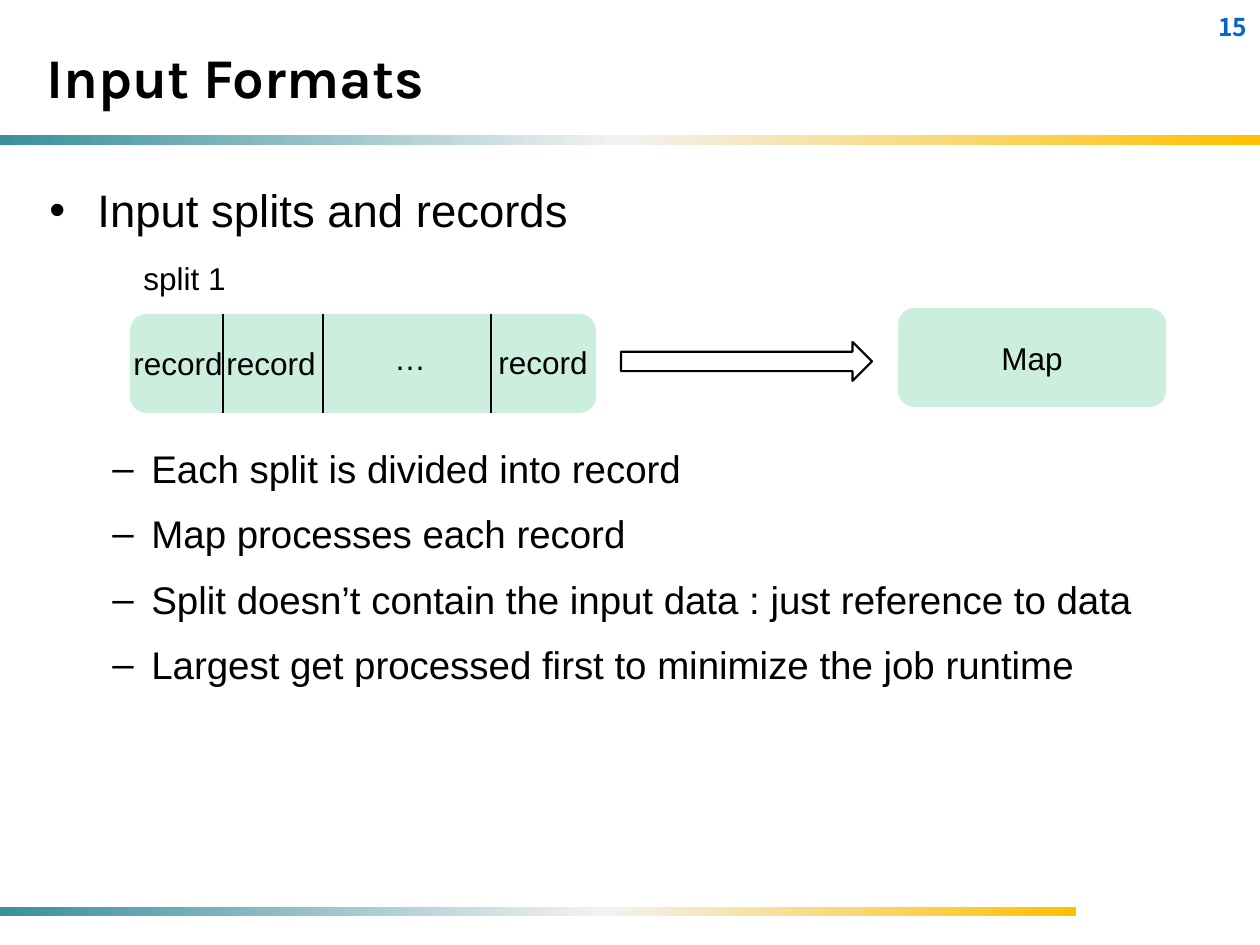
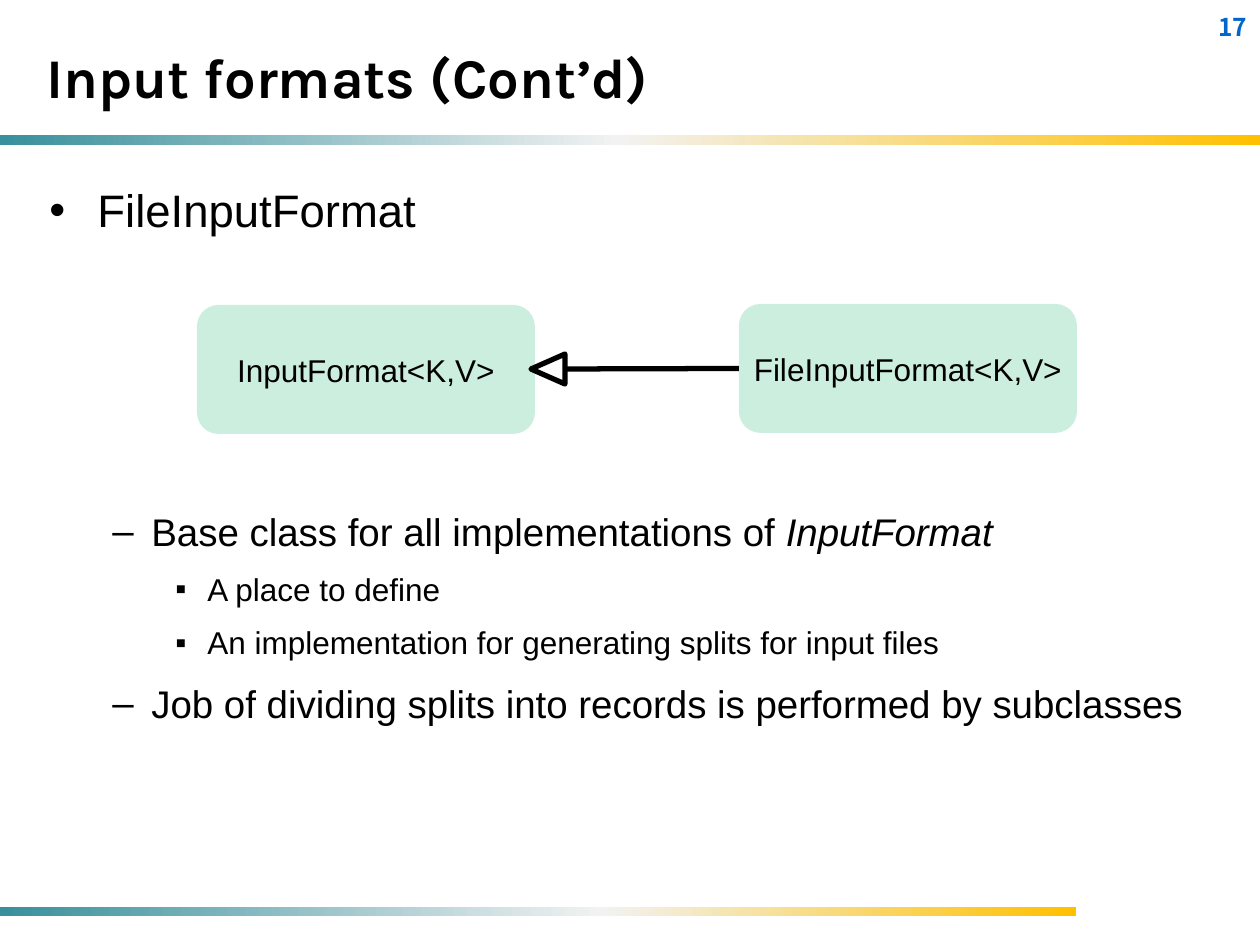
from lxml.etree import SubElement
from pptx import Presentation
from pptx.dml.color import RGBColor
from pptx.enum.shapes import MSO_CONNECTOR, MSO_SHAPE
from pptx.enum.text import MSO_ANCHOR, PP_ALIGN
from pptx.oxml import parse_xml
from pptx.oxml.ns import nsdecls, qn
from pptx.util import Pt

PIXELS_PER_INCH = 126
COLORS = {
    "text": "000000",
    "number": "0066CC",
    "box": "CCEEDF",
    "band_start": "38909C",
    "band_middle": "F2F2F2",
    "band_end": "FFC000",
}
BODY_FONT = "Arial"
TITLE_FONT = "Karla"
NUMBER_FONT = "Noto Sans CJK KR"
# bullet, left margin px, hanging px, size pt, space before pt
LEVELS = [
    ("•", 48, 48, 26, 6.8),
    ("–", 102, 39, 22, 5.7),
    ("▪", 158, 32, 18, 4.7),
]
EMPTY_LINE = 36  # height in points of one second-level line


def px(length):
    return round(length * 914400 / PIXELS_PER_INCH)


def color(name):
    return RGBColor.from_string(COLORS[name])


def add_run(paragraph, text, size=18, font=BODY_FONT, fill="text", bold=False, italic=False):
    run = paragraph.add_run()
    run.text = text
    run.font.size = Pt(size)
    run.font.name = font
    run.font.bold = bold
    run.font.italic = italic
    run.font.color.rgb = color(fill)


def add_label(slide, text, left, top, width, height, anchor=MSO_ANCHOR.TOP, **text_format):
    frame = slide.shapes.add_textbox(px(left), px(top), px(width), px(height)).text_frame
    frame.word_wrap = False
    frame.vertical_anchor = anchor
    add_run(frame.paragraphs[0], text, **text_format)


def add_shape(slide, kind, left, top, width, height, fill=None, line_width=None):
    shape = slide.shapes.add_shape(kind, px(left), px(top), px(width), px(height))
    shape.shadow.inherit = False
    if fill:
        shape.fill.solid()
        shape.fill.fore_color.rgb = color(fill)
    else:
        shape.fill.background()
    if line_width:
        shape.line.color.rgb = color("text")
        shape.line.width = Pt(line_width)
    else:
        shape.line.fill.background()
    return shape


def add_box(slide, left, top, width, height, text=None):
    box = add_shape(slide, MSO_SHAPE.ROUNDED_RECTANGLE, left, top, width, height, fill="box")
    if text:
        frame = box.text_frame
        frame.word_wrap = False
        frame.vertical_anchor = MSO_ANCHOR.MIDDLE
        frame.paragraphs[0].alignment = PP_ALIGN.CENTER
        add_run(frame.paragraphs[0], text)
    return box


def add_line(slide, start_x, start_y, end_x, end_y, width):
    line = slide.shapes.add_connector(
        MSO_CONNECTOR.STRAIGHT, px(start_x), px(start_y), px(end_x), px(end_y))
    line.line.color.rgb = color("text")
    line.line.width = Pt(width)
    SubElement(line._element.spPr, qn("a:effectLst"))
    return line


def add_band(slide, top, width, height, middle):
    """Draw a three-colour band from the left edge; middle is the percent of its pale stop."""
    band = add_shape(slide, MSO_SHAPE.RECTANGLE, 0, top, width, height)
    stops = [(0, "band_start"), (middle, "band_middle"), (100, "band_end")]
    stop_xml = "".join(
        f'<a:gs pos="{position * 1000}"><a:srgbClr val="{COLORS[name]}"/></a:gs>'
        for position, name in stops)
    gradient = parse_xml(
        f'<a:gradFill {nsdecls("a")} rotWithShape="1"><a:gsLst>{stop_xml}</a:gsLst>'
        '<a:lin ang="0" scaled="0"/></a:gradFill>')
    properties = band._element.spPr
    properties.replace(properties.find(qn("a:noFill")), gradient)


def add_bullets(slide, items, gap_lines):
    """Write (level, text, italic ending) items, leaving room for a diagram after the first."""
    frame = slide.shapes.add_textbox(px(37), px(165), px(1191), px(725)).text_frame
    frame.word_wrap = True
    for index, (level, text, italic_ending) in enumerate(items):
        bullet, margin, hanging, size, space_before = LEVELS[level]
        paragraph = frame.paragraphs[0] if index == 0 else frame.add_paragraph()
        paragraph.level = level
        paragraph.line_spacing = 1.2
        gap = gap_lines * EMPTY_LINE if index == 1 else 0
        paragraph.space_before = Pt(space_before + gap)
        properties = paragraph._p.get_or_add_pPr()
        properties.set("marL", str(px(margin)))
        properties.set("indent", str(-px(hanging)))
        SubElement(properties, qn("a:buFont")).set("typeface", BODY_FONT)
        SubElement(properties, qn("a:buChar")).set("char", bullet)
        add_run(paragraph, text, size=size)
        if italic_ending:
            add_run(paragraph, italic_ending, size=size, italic=True)


def add_slide(presentation, title, number):
    slide = presentation.slides.add_slide(presentation.slide_layouts[6])
    add_label(slide, number, 1206, 6, 59, 47,
              size=14, font=NUMBER_FONT, fill="number", bold=True)
    add_band(slide, 135, 1260, 10, middle=49)
    add_band(slide, 907, 1076, 9, middle=56)
    add_label(slide, title, 34, 16, 1160, 120, anchor=MSO_ANCHOR.MIDDLE,
              size=32, font=TITLE_FONT, bold=True)
    return slide


def add_split_slide(presentation):
    slide = add_slide(presentation, "Input Formats", "15")
    add_bullets(slide, [
        (0, "Input splits and records", ""),
        (1, "Each split is divided into record", ""),
        (1, "Map processes each record", ""),
        (1, "Split doesn’t contain the input data : just reference to data", ""),
        (1, "Largest get processed first to minimize the job runtime", ""),
    ], gap_lines=3)
    split_top, split_height = 314, 99
    add_shape(slide, MSO_SHAPE.RIGHT_ARROW, 621, 342, 251, 39, line_width=1.25)
    add_box(slide, 130, split_top, 466, split_height)
    add_box(slide, 898, 308, 268, 99, "Map")
    for divider in (223, 323, 491):
        add_line(slide, divider, split_top, divider, split_top + split_height, 1.25)
    add_label(slide, "…", 382, 333, 59, 50)
    for left, top in ((121, 338), (214, 338), (486, 337)):
        add_label(slide, "record", left, top, 118, 50)
    add_label(slide, "split 1", 131, 253, 118, 50)


def add_file_format_slide(presentation):
    slide = add_slide(presentation, "Input formats (Cont’d)", "17")
    add_bullets(slide, [
        (0, "FileInputFormat", ""),
        (1, "Base class for all implementations of ", "InputFormat"),
        (2, "A place to define", ""),
        (2, "An implementation for generating splits for input files", ""),
        (1, "Job of dividing splits into records is performed by subclasses", ""),
    ], gap_lines=4)
    add_box(slide, 197, 305, 338, 129, "InputFormat<K,V>")
    subclass = add_box(slide, 739, 304, 338, 129, "FileInputFormat<K,V>")
    inheritance = add_line(slide, 739, 369, 565, 369, 3)
    inheritance.begin_connect(subclass, 1)
    arrowhead = add_shape(slide, MSO_SHAPE.ISOSCELES_TRIANGLE, 533, 352, 30, 34, line_width=3)
    arrowhead.rotation = 270


def main():
    presentation = Presentation()
    presentation.slide_width = px(1260)
    presentation.slide_height = px(945)
    add_split_slide(presentation)
    add_file_format_slide(presentation)
    presentation.save("out.pptx")


if __name__ == "__main__":
    main()
